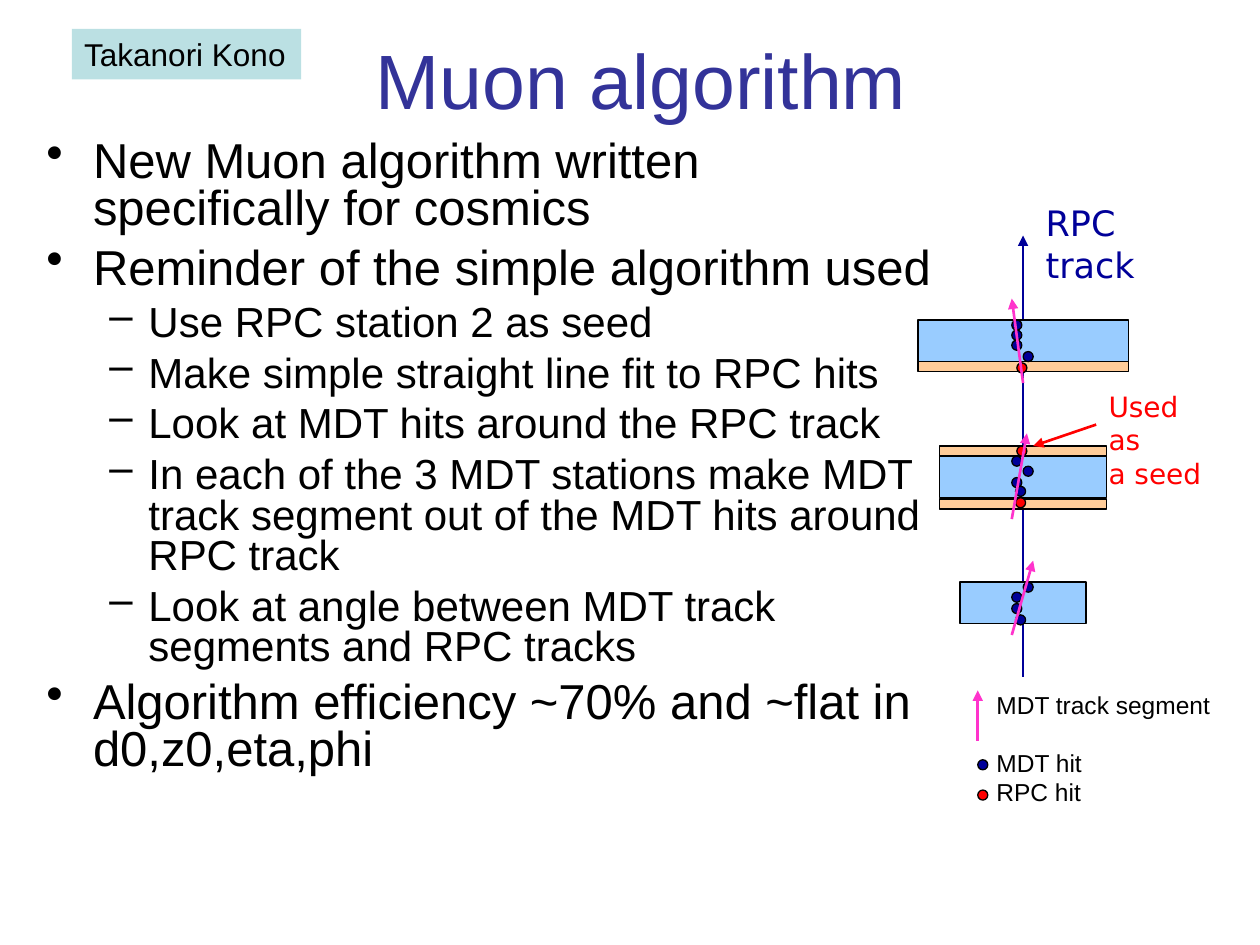
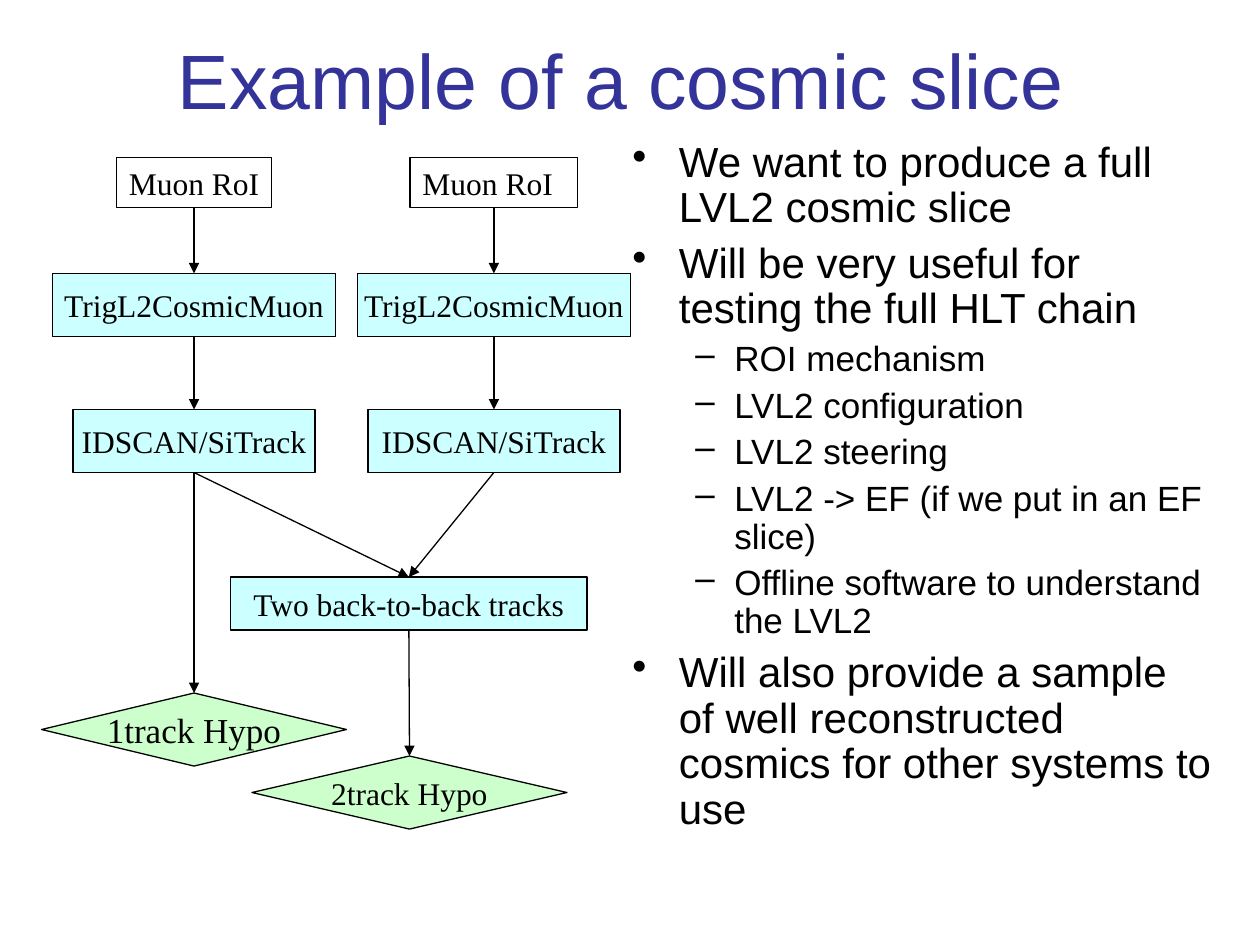
"""Build two slides on a muon algorithm and a cosmic trigger slice."""
from lxml import etree
from pptx import Presentation
from pptx import util as u
from pptx.dml.color import RGBColor
from pptx.enum import shapes, text
from pptx.oxml.ns import qn

BLACK, TITLE_BLUE, NAVY, RED, PINK = "000000", "333399", "000099", "FF0000", "FF33CC"
CHAMBER_BLUE, STRIP_ORANGE, TAG_TEAL = "99CCFF", "FFCC99", "BBE0E3"
STEP_CYAN, HYPO_GREEN = "CCFFFF", "CCFFCC"
SANS, SERIF, LABEL = "Arial", "Times New Roman", "DejaVu Sans"
RECTANGLE, OVAL = shapes.MSO_SHAPE.RECTANGLE, shapes.MSO_SHAPE.OVAL
PROCESS = shapes.MSO_SHAPE.FLOWCHART_PROCESS
DECISION = shapes.MSO_SHAPE.FLOWCHART_DECISION
TOP, BOTTOM = 0, 2
HIT_SIZE = 0.08
STRIP_HEIGHT = 0.08
CHAMBER_HEIGHT = 0.33
TRACK_X = 8.12


def color(value):
    """Turn a hex string into a colour."""
    return RGBColor.from_string(value)


class Deck:
    """Hold the presentation, its shared style and the current slide."""

    def __init__(self):
        """Start an empty 10 by 7.5 inch presentation."""
        self.presentation = Presentation()
        self.presentation.slide_width = u.Inches(10)
        self.presentation.slide_height = u.Inches(7.5)
        self.slide = None

    def new_slide(self, title, left):
        """Add a blank slide with the shared title style."""
        self.slide = self.presentation.slides.add_slide(self.presentation.slide_layouts[6])
        self.label(title, (left, 0, 9, 1.25), 44, ink=TITLE_BLUE, centred=True)

    def set_text(self, shape, words, size, font=SANS, ink=BLACK, centred=False, wrap=True):
        """Put styled text into a shape."""
        frame = shape.text_frame
        frame.text = words
        frame.word_wrap = wrap
        frame.vertical_anchor = text.MSO_ANCHOR.MIDDLE if centred else text.MSO_ANCHOR.TOP
        for paragraph in frame.paragraphs:
            paragraph.alignment = text.PP_ALIGN.CENTER if centred else text.PP_ALIGN.LEFT
            for run in paragraph.runs:
                run.font.name = font
                run.font.size = u.Pt(size)
                run.font.color.rgb = color(ink)

    def label(self, words, box, size, **style):
        """Add a text box."""
        shape = self.slide.shapes.add_textbox(*map(u.Inches, box))
        self.set_text(shape, words, size, **style)
        return shape

    def bullets(self, items, box, sizes, gaps, spacing):
        """Add a two-level bullet list from (level, words) pairs."""
        shape = self.label("\n".join(words for _, words in items), box, sizes[0])
        for (level, _), paragraph in zip(items, shape.text_frame.paragraphs):
            paragraph.level = level
            paragraph.line_spacing = spacing
            paragraph.space_before = u.Pt(gaps[level])
            paragraph.runs[0].font.size = u.Pt(sizes[level])
            properties = paragraph._p.get_or_add_pPr()
            properties.set("marL", str(u.Inches((0.37, 0.81)[level])))
            properties.set("indent", str(-u.Inches((0.37, 0.31)[level])))
            bullet_color = etree.SubElement(properties, qn("a:buClr"))
            etree.SubElement(bullet_color, qn("a:srgbClr"), val=BLACK)
            etree.SubElement(properties, qn("a:buChar"), char="•–"[level])

    def block(self, kind, box, fill=None, outline=BLACK):
        """Add a preset shape with a thin outline."""
        shape = self.slide.shapes.add_shape(kind, *map(u.Inches, box))
        shape.shadow.inherit = False
        if fill:
            shape.fill.solid()
            shape.fill.fore_color.rgb = color(fill)
        else:
            shape.fill.background()
        if outline:
            shape.line.color.rgb = color(outline)
            shape.line.width = u.Pt(0.75)
        else:
            shape.line.fill.background()
        return shape

    def node(self, kind, words, box, fill, size=18):
        """Add a flowchart node with centred text."""
        shape = self.block(kind, box, fill)
        self.set_text(shape, words, size, SERIF, centred=True, wrap=False)
        return shape

    def hit(self, left, top, fill):
        """Add a detector hit."""
        self.block(OVAL, (left, top, HIT_SIZE, HIT_SIZE), fill)

    def arrow(self, start, end, ink=BLACK, width=1.5):
        """Add a straight arrow between two points."""
        connector = self.slide.shapes.add_connector(
            shapes.MSO_CONNECTOR.STRAIGHT, *map(u.Inches, (*start, *end)))
        connector.line.color.rgb = color(ink)
        connector.line.width = u.Pt(width)
        etree.SubElement(connector.line._get_or_add_ln(), qn("a:tailEnd"), type="triangle")
        etree.SubElement(connector._element.spPr, qn("a:effectLst"))
        return connector

    def link(self, source, target):
        """Join the bottom of one node to the top of another."""
        connector = self.arrow((0, 0), (1, 1), width=0.75)
        connector.begin_connect(source, BOTTOM)
        connector.end_connect(target, TOP)


def draw_station(deck, width, top, strips, rpc_hits, mdt_hits, segment):
    """Draw one muon station with its hits and track segment."""
    left = TRACK_X - width / 2
    deck.block(RECTANGLE, (left, top, width, CHAMBER_HEIGHT), CHAMBER_BLUE)
    for strip_top in strips:
        deck.block(RECTANGLE, (left, strip_top, width, STRIP_HEIGHT), STRIP_ORANGE)
    for hits, fill in ((rpc_hits, RED), (mdt_hits, NAVY)):
        for hit_left, hit_top in hits:
            deck.hit(hit_left, hit_top, fill)
    deck.arrow(*segment, PINK)


def build_muon_slide(deck):
    """Build the slide on the muon algorithm."""
    deck.new_slide("Muon algorithm", 0.59)
    deck.bullets([
        (0, "New Muon algorithm written specifically for cosmics"),
        (0, "Reminder of the simple algorithm used"),
        (1, "Use RPC station 2 as seed"),
        (1, "Make simple straight line fit to RPC hits"),
        (1, "Look at MDT hits around the RPC track"),
        (1, "In each of the 3 MDT stations make MDT track segment "
            "out of the MDT hits around RPC track"),
        (1, "Look at angle between MDT track segments and RPC tracks"),
        (0, "Algorithm efficiency ~70% and ~flat in d0,z0,eta,phi"),
    ], (0.27, 1.07, 7.24, 6.06), (28, 24), (7, 6), 0.8)
    author = deck.block(RECTANGLE, (0.57, 0.23, 1.82, 0.4), TAG_TEAL, None)
    deck.set_text(author, "Takanori Kono", 18, wrap=False)

    deck.arrow((TRACK_X, 5.37), (TRACK_X, 1.87), NAVY)
    draw_station(deck, 1.67, 2.54, [2.87], [(8.07, 2.88)],
                 [(8.12, 2.79), (8.03, 2.7), (8.03, 2.62), (8.03, 2.54)],
                 ((8.12, 3.04), (8.03, 2.37)))
    draw_station(deck, 1.33, 3.62, [3.54, 3.96], [(8.06, 3.95), (8.07, 3.54)],
                 [(8.03, 3.79), (8.06, 3.86), (8.12, 3.7), (8.03, 3.62)],
                 ((8.03, 4.12), (8.15, 3.44)))
    draw_station(deck, 1, 4.62, [], [],
                 [(8.06, 4.88), (8.03, 4.79), (8.03, 4.7), (8.12, 4.62)],
                 ((8.03, 5.04), (8.2, 4.45)))
    deck.label("RPC track", (8.2, 1.55, 1.2, 0.44), 20, font=LABEL, ink=NAVY)
    deck.arrow((8.7, 3.37), (8.2, 3.54), RED)
    deck.label("Used as\na seed", (8.7, 3.04, 1.0, 0.64), 16, font=LABEL, ink=RED)

    deck.arrow((7.76, 5.88), (7.76, 5.48), PINK)
    deck.hit(7.76, 6.03, NAVY)
    deck.hit(7.76, 6.27, RED)
    legend = deck.label("MDT track segment\nMDT hit\nRPC hit", (7.81, 5.43, 2.07, 1.04), 14)
    legend.text_frame.paragraphs[1].space_before = u.Pt(16)


def build_slice_slide(deck):
    """Build the slide with the cosmic slice flowchart."""
    deck.new_slide("Example of a cosmic slice", 0.43)
    deck.bullets([
        (0, "We want to produce a full LVL2 cosmic slice"),
        (0, "Will be very useful for testing the full HLT chain"),
        (1, "ROI mechanism"),
        (1, "LVL2 configuration"),
        (1, "LVL2 steering"),
        (1, "LVL2 -> EF (if we put in an EF slice)"),
        (1, "Offline software to understand the LVL2"),
        (0, "Will also provide a sample of well reconstructed cosmics "
            "for other systems to use"),
    ], (4.92, 1.07, 4.8, 6.22), (24, 20), (6, 5), 0.9)

    trackers = []
    for centre, widths, wrap in ((1.54, (1.23, 2.25, 1.92), False),
                                 (3.92, (1.33, 2.17, 2), True)):
        lefts = [centre - width / 2 for width in widths]
        roi = deck.block(RECTANGLE, (lefts[0], 1.25, widths[0], 0.4))
        deck.set_text(roi, "Muon RoI", 18, SERIF, wrap=wrap)
        muon = deck.node(PROCESS, "TrigL2CosmicMuon", (lefts[1], 2.17, widths[1], 0.5), STEP_CYAN)
        tracker = deck.node(PROCESS, "IDSCAN/SiTrack", (lefts[2], 3.25, widths[2], 0.5), STEP_CYAN)
        deck.link(roi, muon)
        deck.link(muon, tracker)
        trackers.append(tracker)

    pair = deck.node(PROCESS, "Two back-to-back tracks", (1.83, 4.58, 2.83, 0.42), STEP_CYAN)
    two_track = deck.node(DECISION, "2track Hypo", (2, 6, 2.5, 0.58), HYPO_GREEN)
    one_track = deck.node(DECISION, "1track Hypo", (0.33, 5.5, 2.42, 0.58), HYPO_GREEN, 20)
    for tracker in trackers:
        deck.link(tracker, pair)
    deck.link(trackers[0], one_track)
    deck.link(pair, two_track)


def main():
    """Build both slides and save them."""
    deck = Deck()
    build_muon_slide(deck)
    build_slice_slide(deck)
    deck.presentation.save("out.pptx")


if __name__ == "__main__":
    main()
